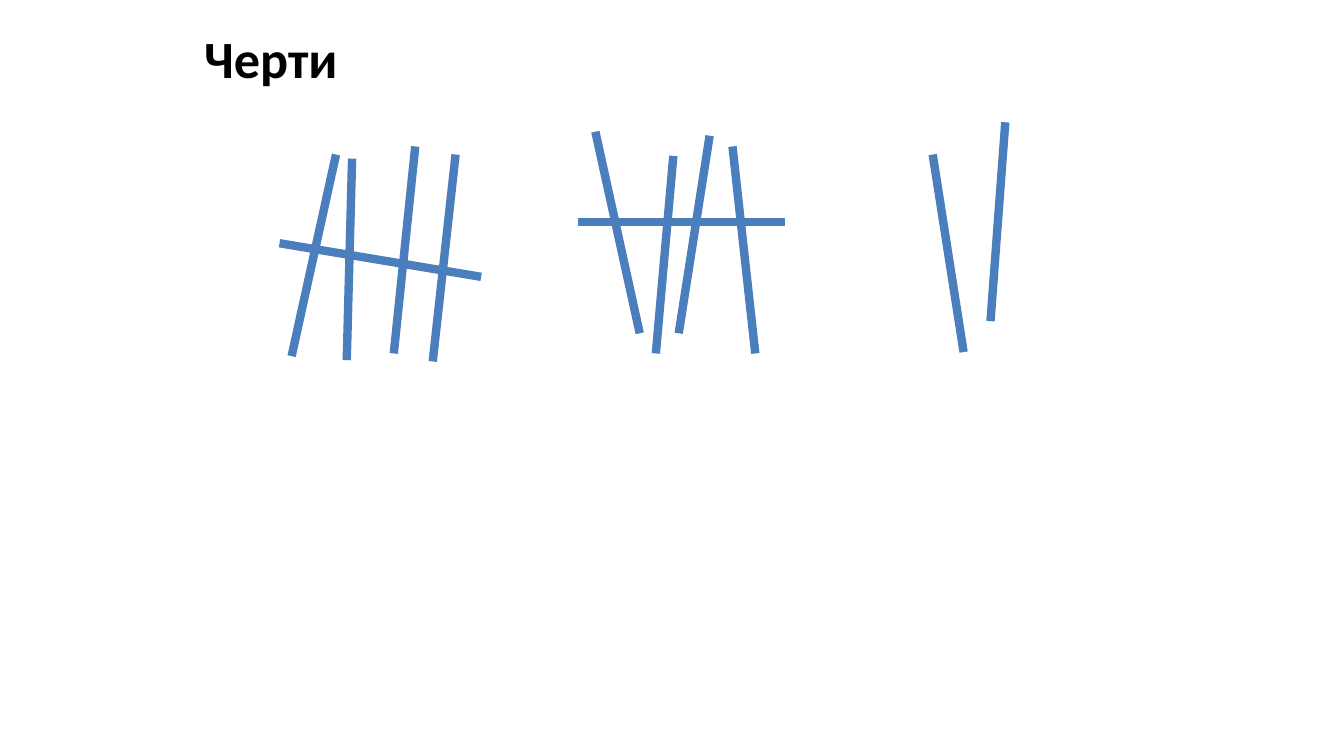
from typing import NamedTuple

import pptx
import pptx.dml.color
import pptx.enum.shapes
import pptx.enum.text
import pptx.oxml.ns
import pptx.slide
import pptx.util
from lxml import etree

Inches = pptx.util.Inches
Pt = pptx.util.Pt


class Stroke(NamedTuple):
    x1: float
    y1: float
    x2: float
    y2: float


FIRST_FIVE = [
    Stroke(2.5, 1.15, 2.17, 2.65),
    Stroke(2.62, 1.18, 2.58, 2.68),
    Stroke(3.09, 1.09, 2.93, 2.63),
    Stroke(3.39, 1.15, 3.22, 2.69),
    Stroke(2.08, 1.81, 3.58, 2.06),
]
SECOND_FIVE = [
    Stroke(4.76, 2.48, 4.43, 0.98),
    Stroke(4.88, 2.63, 5.01, 1.16),
    Stroke(5.05, 2.48, 5.28, 1.01),
    Stroke(5.62, 2.63, 5.45, 1.09),
    Stroke(4.3, 1.65, 5.84, 1.65),
]
REMAINING_TWO = [
    Stroke(6.94, 1.15, 7.17, 2.62),
    Stroke(7.48, 0.91, 7.37, 2.39),
]


def color(value: str) -> pptx.dml.color.RGBColor:
    return pptx.dml.color.RGBColor.from_string(value)


def draw_stroke(slide: pptx.slide.Slide, stroke: Stroke) -> None:
    connector = slide.shapes.add_connector(
        pptx.enum.shapes.MSO_CONNECTOR.STRAIGHT,
        Inches(stroke.x1), Inches(stroke.y1),
        Inches(stroke.x2), Inches(stroke.y2),
    )
    connector.line.color.rgb = color("4B7EBC")
    connector.line.width = Pt(4.5)
    properties = connector._element.spPr
    etree.SubElement(properties, pptx.oxml.ns.qn("a:effectLst"))


def add_heading(slide: pptx.slide.Slide, text: str) -> None:
    heading = slide.shapes.add_textbox(
        Inches(1.42), Inches(0.15), Inches(8.58), Inches(5.17)
    )
    text_frame = heading.text_frame
    text_frame.word_wrap = True
    text_frame.vertical_anchor = pptx.enum.text.MSO_ANCHOR.TOP
    text_frame.text = text
    font = text_frame.paragraphs[0].runs[0].font
    font.name = "Calibri"
    font.size = Pt(28)
    font.bold = True
    font.color.rgb = color("000000")


def main() -> None:
    presentation = pptx.Presentation()
    presentation.slide_width = Inches(10)
    presentation.slide_height = Inches(10 * 9 / 16)
    slide = presentation.slides.add_slide(presentation.slide_layouts[6])
    add_heading(slide, "Черти")
    for group in (FIRST_FIVE, SECOND_FIVE, REMAINING_TWO):
        for stroke in group:
            draw_stroke(slide, stroke)
    presentation.save("out.pptx")


if __name__ == "__main__":
    main()
